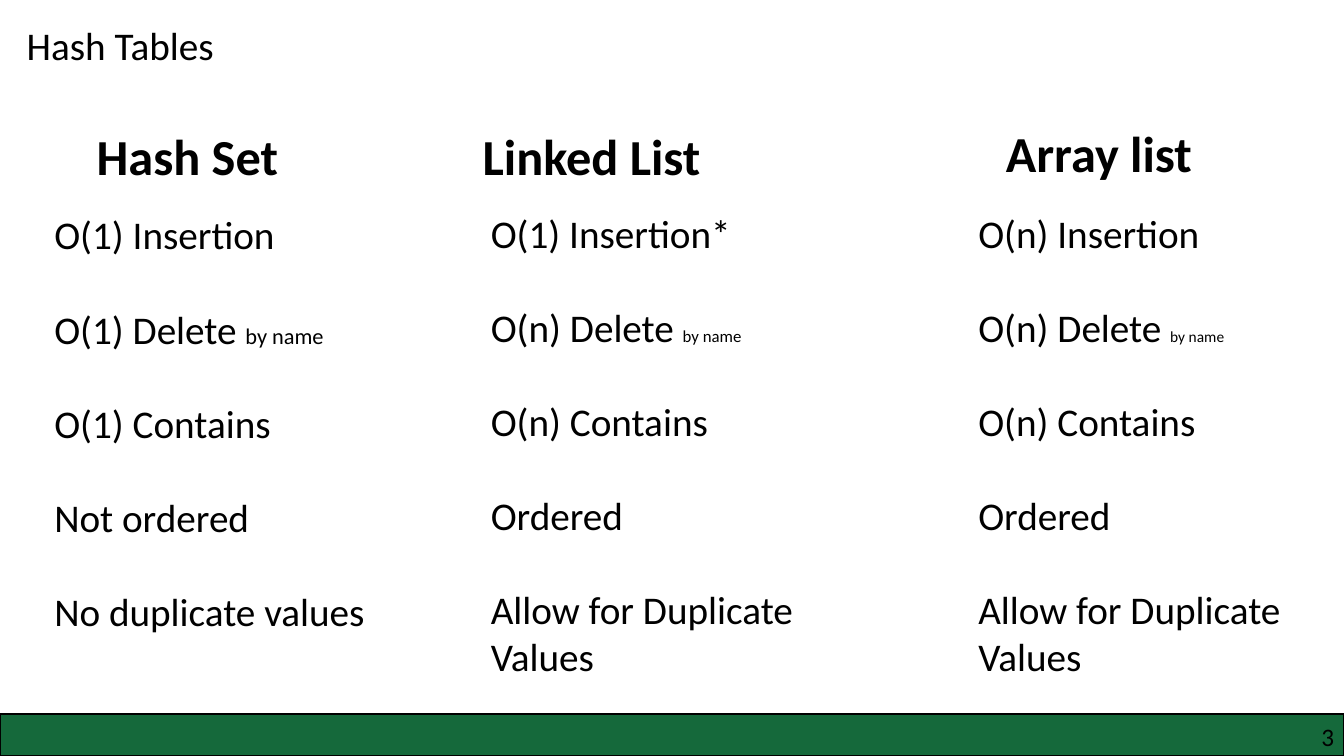
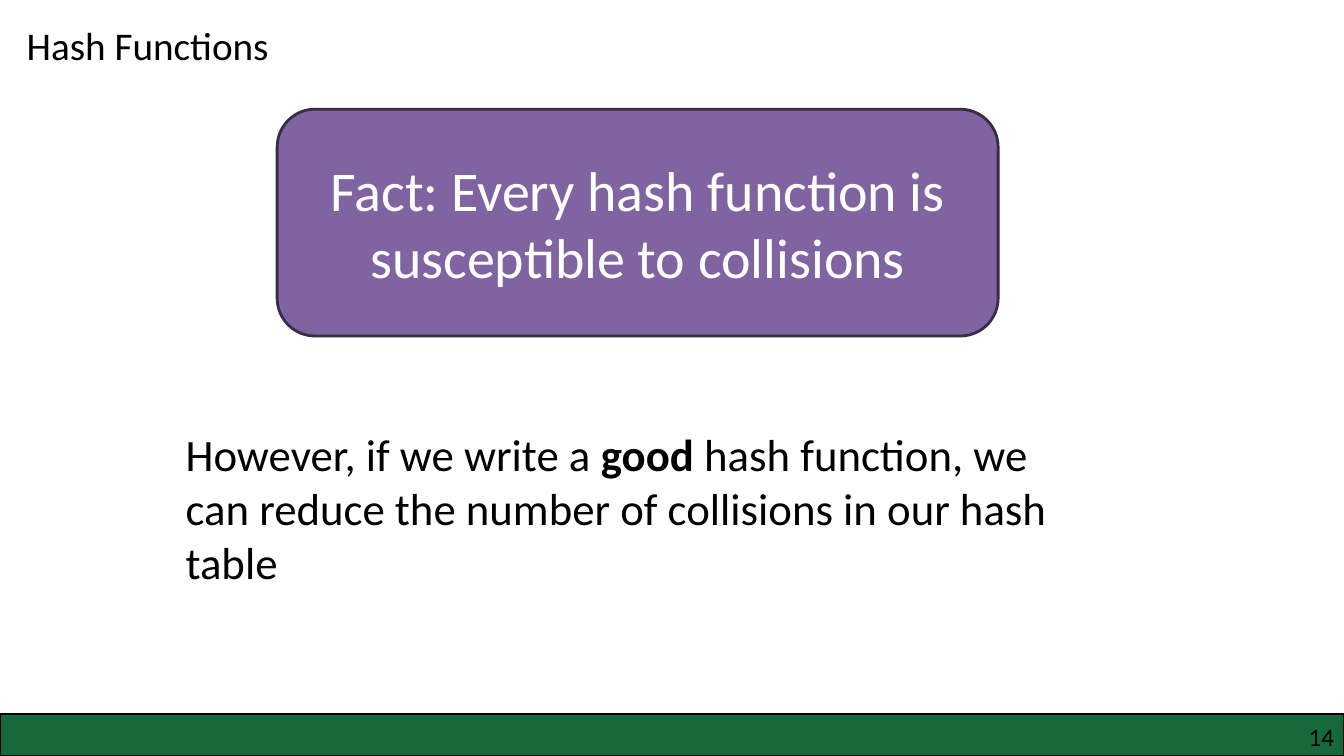
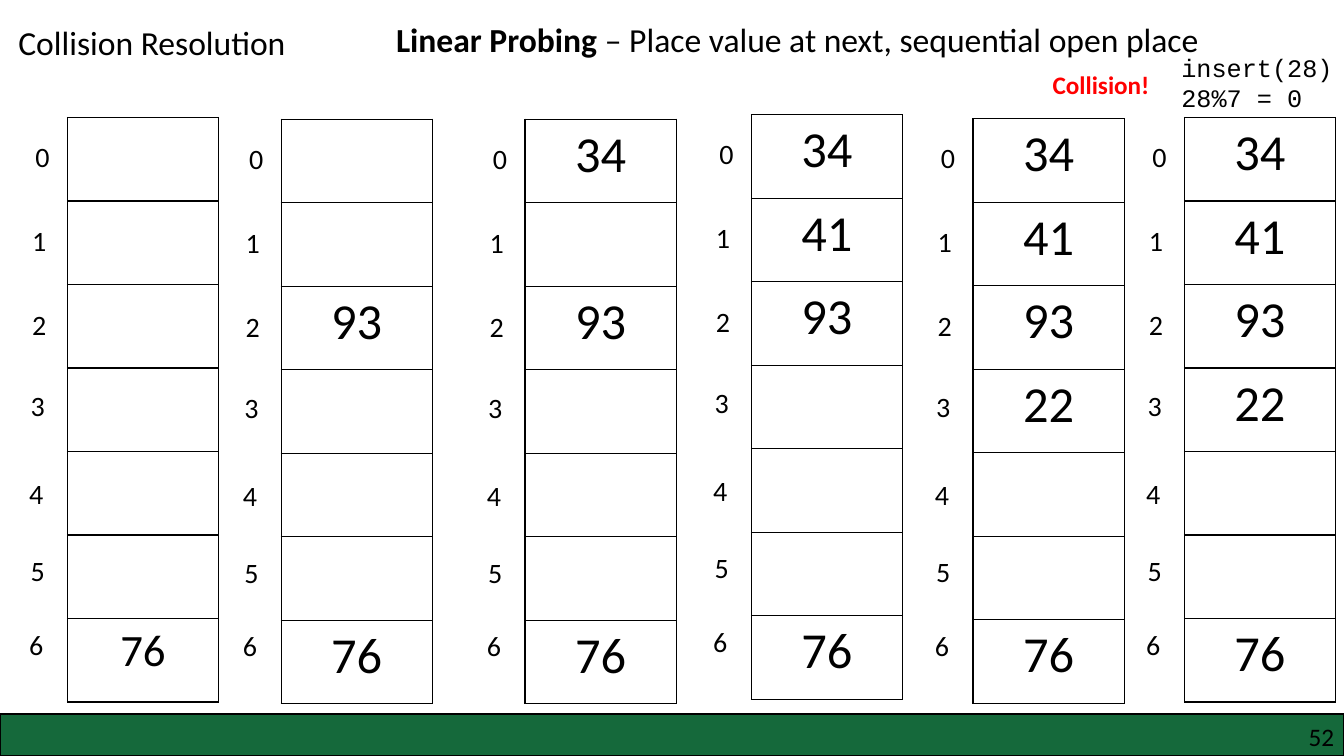
from lxml.etree import SubElement
from pptx import Presentation
from pptx.dml.color import RGBColor as Rgb
from pptx.enum.shapes import MSO_SHAPE as Shape
from pptx.enum.text import MSO_ANCHOR as Anchor, PP_ALIGN as Align
from pptx.oxml.ns import qn
from pptx.util import Pt

COLORS = {"ink": "000000", "paper": "FFFFFF", "band": "15693B",
          "fact": "8064A2", "fact_edge": "382C47", "alert": "FF0000"}
FONT, CODE_FONT = "Calibri", "Courier New"
WIDTH, HEIGHT = 960, 540
BAND_TOP = 510

# Hash table columns
SLOTS = 7
SLOT_WIDTH, SLOT_HEIGHT = 108, 59.66
# Place of each index label, measured from the top left of its table
INDEX_OFFSETS = [(-30, 12), (-32.4, 72), (-32.4, 132), (-33.4, 190),
                 (-34.4, 253), (-33.4, 308), (-34.4, 360.5)]


def color(name):
    return Rgb.from_string(COLORS[name])


def write(frame, lines, size, ink="ink", font=FONT, bold=False,
          align=Align.LEFT, gap=0):
    """Each line is a string or a list of (text, size, bold) spans."""
    frame.word_wrap = True
    for number, line in enumerate(lines):
        para = frame.paragraphs[0] if number == 0 else frame.add_paragraph()
        para.alignment = align
        if number and gap:
            para.space_before = Pt(gap)
        para.font.name = font
        para.font.color.rgb = color(ink)
        if isinstance(line, str):
            para.font.size = Pt(size)
            para.font.bold = bold
            para.add_run().text = line
            continue
        for text, span_size, span_bold in line:
            span = para.add_run()
            span.text = text
            span.font.size = Pt(span_size)
            span.font.bold = span_bold


def add_text(page, left, top, width, height, lines, size, inset=True, **style):
    box = page.shapes.add_textbox(Pt(left), Pt(top), Pt(width), Pt(height))
    frame = box.text_frame
    if not inset:
        frame.margin_left = frame.margin_right = 0
        frame.margin_top = frame.margin_bottom = 0
    write(frame, lines, size, **style)


def add_block(page, kind, left, top, width, height, fill, edge, weight):
    block = page.shapes.add_shape(kind, Pt(left), Pt(top), Pt(width), Pt(height))
    block.shadow.inherit = False
    block.fill.solid()
    block.fill.fore_color.rgb = color(fill)
    block.line.color.rgb = color(edge)
    block.line.width = Pt(weight)
    return block


def add_page(deck, title, number, left=12, size=28):
    """Blank page with the shared band, page number and title."""
    page = deck.slides.add_slide(deck.slide_layouts[6])
    add_block(page, Shape.RECTANGLE, 0, BAND_TOP, WIDTH, HEIGHT - BAND_TOP,
              "band", "ink", 1)
    add_text(page, 732, 515, 221, 21.6, [str(number)], 18, inset=False,
             align=Align.RIGHT)
    add_text(page, left, 12, 230, 40, [title], size)
    return page


def add_borders(cell):
    properties = cell._tc.get_or_add_tcPr()
    for index, side in enumerate(("lnL", "lnR", "lnT", "lnB")):
        line = SubElement(properties, qn(f"a:{side}"), w=str(Pt(1)))
        properties.insert(index, line)
        fill = SubElement(line, qn("a:solidFill"))
        SubElement(fill, qn("a:srgbClr"), val=COLORS["ink"])


def add_hash_table(page, left, top, values, size=36):
    """One column of slots; values maps a slot index to its content."""
    table = page.shapes.add_table(SLOTS, 1, Pt(left), Pt(top), Pt(SLOT_WIDTH),
                                  Pt(SLOTS * SLOT_HEIGHT)).table
    table.first_row = table.horz_banding = False
    for index, (across, down) in enumerate(INDEX_OFFSETS):
        table.rows[index].height = Pt(SLOT_HEIGHT)
        cell = table.cell(index, 0)
        cell.fill.solid()
        cell.fill.fore_color.rgb = color("paper")
        add_borders(cell)
        if index in values:
            write(cell.text_frame, [str(values[index])], size,
                  align=Align.CENTER)
        add_text(page, left + across, top + down, 26, 31.5, [str(index)], 20)


def add_comparison(page):
    # heading, its left and top; list left, top and width; cost lines
    columns = [
        ("Hash Set", 62, 85.7, 31.7, 147, 262, 16,
         ["O(1) Insertion", "O(1) Delete ", "O(1) Contains",
          "Not ordered", "No duplicate values"]),
        ("Linked List", 337.7, 85.7, 343.5, 145.7, 234, 12,
         ["O(1) Insertion*", "O(n) Delete ", "O(n) Contains",
          "Ordered", "Allow for Duplicate Values"]),
        ("Array list", 711.4, 84, 691.7, 146, 237, 11,
         ["O(n) Insertion", "O(n) Delete ", "O(n) Contains",
          "Ordered", "Allow for Duplicate Values"]),
    ]
    for name, name_left, name_top, left, top, width, note_size, lines in columns:
        add_text(page, name_left, name_top, 200, 51, [name], 36, bold=True)
        lines[1] = [(lines[1], 28, False), ("by name", note_size, False)]
        add_text(page, left, top, width, 346, lines, 28, gap=33.6)


def add_fact(page):
    fact = add_block(page, Shape.ROUNDED_RECTANGLE, 198, 78, 515, 162,
                     "fact", "fact_edge", 2)
    fact.text_frame.vertical_anchor = Anchor.MIDDLE
    write(fact.text_frame,
          ["Fact: Every hash function is susceptible to collisions"], 40,
          ink="paper", align=Align.CENTER)
    add_text(page, 125.5, 301.5, 666, 124, [[
        ("However, if we write a ", 32, False), ("good", 32, True),
        (" hash function, we can reduce the number of collisions"
         " in our hash table", 32, False)]], 32)


def add_probing(page):
    add_text(page, 275.8, 10, 666, 36, [[
        ("Linear Probing ", 24, True),
        ("– Place value at next, sequential open place", 24, False)]], 24)
    # Each step inserts one more value
    steps = [(48.2, 84, 6, 76), (200.8, 85.2, 2, 93), (375, 85.2, 0, 34),
             (536.7, 82, 1, 41), (695, 84.8, 3, 22)]
    values = {}
    for left, top, slot, value in steps:
        values[slot] = value
        add_hash_table(page, left, top, values, 36 if len(values) > 1 else 32)
    # The next insertion collides, so the table stays as it was
    add_hash_table(page, 846, 84, values)
    add_text(page, 836.8, 33.8, 123.2, 51, ["insert(28)", "28%7 = 0"], 18,
             font=CODE_FONT)
    add_text(page, 744.8, 46, 97, 29, ["Collision!"], 18, ink="alert",
             bold=True)


def main():
    deck = Presentation()
    deck.slide_width, deck.slide_height = Pt(WIDTH), Pt(HEIGHT)
    add_comparison(add_page(deck, "Hash Tables", 3))
    add_fact(add_page(deck, "Hash Functions", 14))
    add_probing(add_page(deck, "Collision Resolution", 52, left=6, size=24))
    deck.save("out.pptx")


if __name__ == "__main__":
    main()
